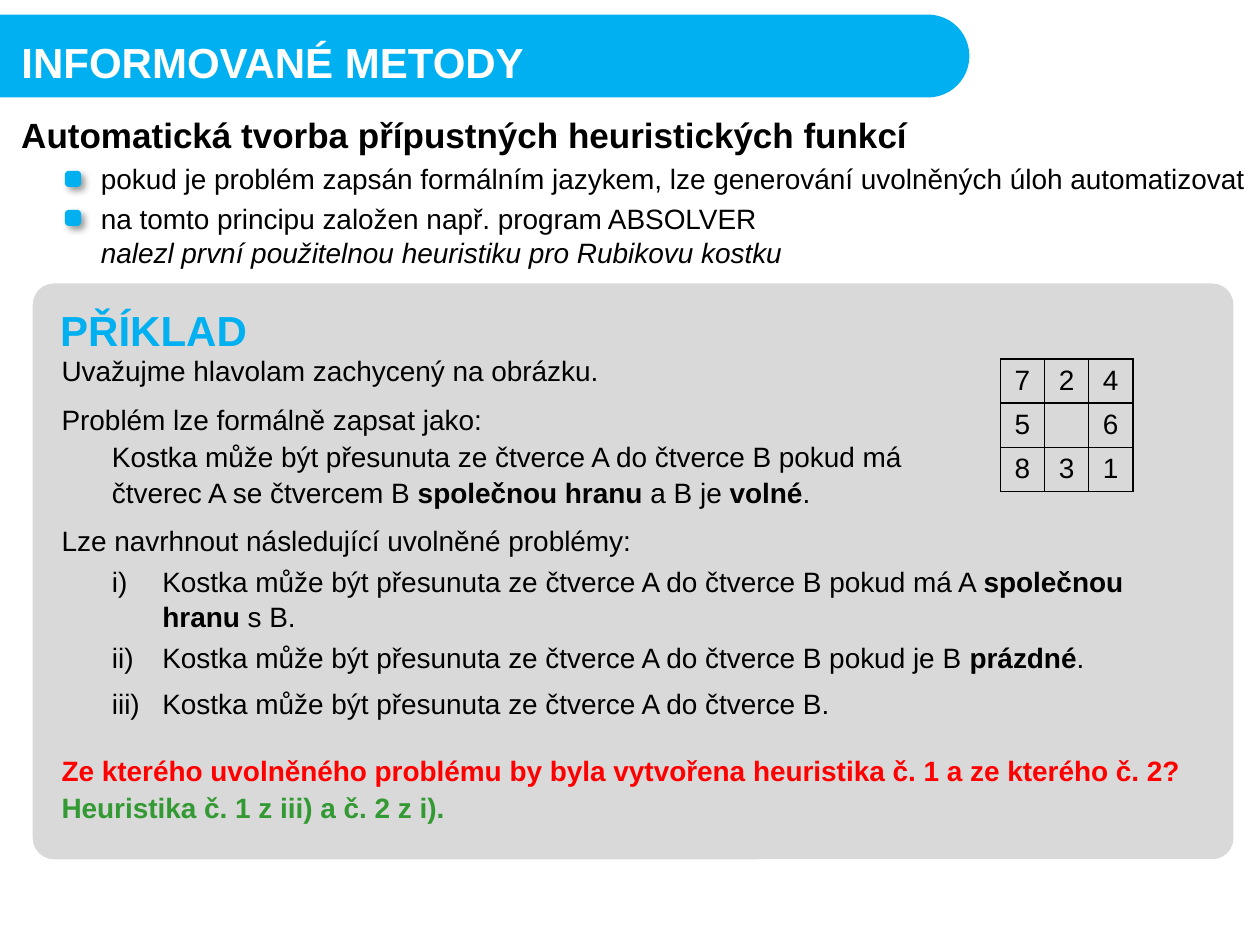
from dataclasses import dataclass

from lxml.etree import SubElement
from pptx import Presentation
from pptx.dml.color import RGBColor
from pptx.enum.shapes import MSO_SHAPE as Shape
from pptx.enum.text import MSO_ANCHOR as Anchor, MSO_AUTO_SIZE as AutoSize, PP_ALIGN as Align
from pptx.oxml.ns import qn
from pptx.util import Inches, Pt

COLORS = {
    "accent": "00B0F0",
    "panel": "D9D9D9",
    "text": "000000",
    "inverse": "FFFFFF",
    "question": "FF0000",
    "answer": "339933",
}
FONT = "Arial"
BODY_SIZE = 16
LINE_HEIGHT = 0.37
TILE = 0.35
HANGING = 0.4


@dataclass
class Line:
    left: float
    top: float
    width: float
    regular_then_bold: tuple[str, ...]
    height: float = LINE_HEIGHT
    color: str = "text"
    size: int = BODY_SIZE
    bold: bool = False
    hanging: float = 0
    spacing: float = 1.05


@dataclass
class Block:
    left: float
    top: float
    width: float
    height: float
    fill: str
    corner: float
    outlined: bool = True


BANNER = Block(-0.35, 0.13, 8.03, 0.63, "accent", 0.5)
PANEL = Block(0.26, 2.25, 9.53, 4.57, "panel", 0.037, outlined=False)
BULLETS = [Block(0.53, top, 0.1, 0.1, "accent", 0.17) for top in (1.37, 1.68)]

HEADING = Line(0.07, 0.85, 9.81, ("Automatická tvorba přípustných heuristických funkcí",),
               height=0.44, size=20, bold=True, spacing=1)
PRINCIPLES = (
    "pokud je problém zapsán formálním jazykem, lze generování uvolněných úloh automatizovat",
    "na tomto principu založen např. program ABSOLVER\v"
    "nalezl první použitelnou heuristiku pro Rubikovu kostku",
)
EXAMPLE = [
    Line(0.38, 2.35, 3, ("PŘÍKLAD",), height=0.5, color="accent", size=24, bold=True),
    Line(0.39, 2.74, 5.85, ("Uvažujme hlavolam zachycený na obrázku.",)),
    Line(0.39, 3.13, 3.78, ("Problém lze formálně zapsat jako:",)),
    Line(0.79, 3.43, 6.85,
         ("Kostka může být přesunuta ze čtverce A do čtverce B pokud má čtverec A se čtvercem B ",
          "společnou hranu ", "a B je ", "volné", "."), height=0.64),
    Line(0.39, 4.09, 4.85, ("Lze navrhnout následující uvolněné problémy:",)),
    Line(0.79, 4.42, 8.88,
         ("i)\tKostka může být přesunuta ze čtverce A do čtverce B pokud má A ",
          "společnou hranu ", "s B."), height=0.64, hanging=HANGING),
    Line(0.79, 5.02, 8.53,
         ("ii)\tKostka může být přesunuta ze čtverce A do čtverce B pokud je B ", "prázdné", "."),
         hanging=HANGING),
    Line(0.79, 5.39, 8.53, ("iii)\tKostka může být přesunuta ze čtverce A do čtverce B.",),
         hanging=HANGING),
    Line(0.39, 5.92, 9.28,
         ("Ze kterého uvolněného problému by byla vytvořena heuristika č. 1 a ze kterého č. 2?",),
         color="question", bold=True),
    Line(0.39, 6.21, 6.45, ("Heuristika č. 1 z iii) a č. 2 z i).",), color="answer", bold=True),
]
PUZZLE = (("7", "2", "4"), ("5", "", "6"), ("8", "3", "1"))


def rgb(name: str) -> RGBColor:
    return RGBColor.from_string(COLORS[name])


def style(font, color: str = "text", size: int = BODY_SIZE, bold: bool = False) -> None:
    font.name = FONT
    font.size = Pt(size)
    font.bold = bold
    font.color.rgb = rgb(color)


def place(shape, left: float, top: float, width: float, height: float) -> None:
    shape.left, shape.top = Inches(left), Inches(top)
    shape.width, shape.height = Inches(width), Inches(height)


def indent(paragraph, margin: float, first_line: float) -> None:
    properties = paragraph._p.get_or_add_pPr()
    properties.set("marL", str(Inches(margin)))
    properties.set("indent", str(Inches(first_line)))


def draw_block(slide, block: Block):
    shape = slide.shapes.add_shape(
        Shape.ROUNDED_RECTANGLE, Inches(block.left), Inches(block.top),
        Inches(block.width), Inches(block.height))
    shape.adjustments[0] = block.corner
    shape.shadow.inherit = False
    shape.fill.solid()
    shape.fill.fore_color.rgb = rgb(block.fill)
    if block.outlined:
        shape.line.color.rgb = rgb(block.fill)
        shape.line.width = Pt(2)
    else:
        shape.line.fill.background()
    return shape


def draw_bullet(slide, block: Block) -> None:
    bullet = draw_block(slide, block)
    effects = bullet._element.spPr.find(qn("a:effectLst"))
    shadow = SubElement(effects, qn("a:outerShdw"), blurRad=str(Pt(4)), dist=str(Pt(3)),
                        dir=str(45 * 60000), algn="tl", rotWithShape="0")
    color = SubElement(shadow, qn("a:srgbClr"), val=COLORS["text"])
    SubElement(color, qn("a:alpha"), val="40000")


def draw_line(slide, line: Line, anchor=Anchor.TOP) -> None:
    box = slide.shapes.add_textbox(Inches(line.left), Inches(line.top),
                                   Inches(line.width), Inches(line.height))
    frame = box.text_frame
    frame.word_wrap = True
    frame.vertical_anchor = anchor
    paragraph = frame.paragraphs[0]
    paragraph.line_spacing = line.spacing
    if line.hanging:
        indent(paragraph, line.hanging, -line.hanging)
    for index, phrase in enumerate(line.regular_then_bold):
        run = paragraph.add_run()
        run.text = phrase
        style(run.font, line.color, line.size, line.bold or index % 2 == 1)


def fill_title(title) -> None:
    place(title, 0.07, 0.24, 7, 0.5)
    frame = title.text_frame
    frame.text = "INFORMOVANÉ METODY"
    frame.auto_size = AutoSize.NONE
    frame.vertical_anchor = Anchor.TOP
    frame.paragraphs[0].alignment = Align.LEFT
    style(frame.paragraphs[0].runs[0].font, "inverse", 24, True)


def fill_principles(body) -> None:
    place(body, 0.7, 1.23, 9.44, 0.93)
    frame = body.text_frame
    frame.auto_size = AutoSize.NONE
    for index, principle in enumerate(PRINCIPLES):
        paragraph = frame.add_paragraph() if index else frame.paragraphs[0]
        paragraph.text = principle
        indent(paragraph, 0, 0)
        paragraph.space_before = Pt(4 * index)
        SubElement(paragraph._p.get_or_add_pPr(), qn("a:buNone"))
        for run in paragraph.runs:
            style(run.font)
    frame.paragraphs[1].runs[1].font.italic = True


def draw_border(cell) -> None:
    properties = cell._tc.get_or_add_tcPr()
    for position, side in enumerate(("a:lnL", "a:lnR", "a:lnT", "a:lnB")):
        edge = properties.makeelement(qn(side), {"w": str(Pt(1))})
        fill = SubElement(edge, qn("a:solidFill"))
        SubElement(fill, qn("a:srgbClr"), val=COLORS["text"])
        properties.insert(position, edge)


def draw_puzzle(slide) -> None:
    side = Inches(TILE * len(PUZZLE))
    table = slide.shapes.add_table(len(PUZZLE), len(PUZZLE), Inches(7.94), Inches(2.85),
                                   side, side).table
    table.first_row = table.horz_banding = False
    for row, tiles in enumerate(PUZZLE):
        table.rows[row].height = table.columns[row].width = Inches(TILE)
        for column, tile in enumerate(tiles):
            cell = table.cell(row, column)
            cell.text = tile
            cell.margin_left = cell.margin_right = cell.margin_top = cell.margin_bottom = 0
            cell.vertical_anchor = Anchor.MIDDLE
            cell.fill.background()
            draw_border(cell)
            paragraph = cell.text_frame.paragraphs[0]
            paragraph.alignment = Align.CENTER
            style(paragraph.runs[0].font if tile else paragraph.font)


def main() -> None:
    deck = Presentation()
    deck.slide_width, deck.slide_height = Inches(10), Inches(7.5)
    slide = deck.slides.add_slide(deck.slide_layouts[1])
    title, body = slide.shapes.title, slide.placeholders[1]
    title._element.addprevious(draw_block(slide, BANNER)._element)
    fill_title(title)
    fill_principles(body)
    draw_line(slide, HEADING, Anchor.MIDDLE)
    for bullet in BULLETS:
        draw_bullet(slide, bullet)
    draw_block(slide, PANEL)
    draw_puzzle(slide)
    for line in EXAMPLE:
        draw_line(slide, line)
    deck.save("out.pptx")


if __name__ == "__main__":
    main()
